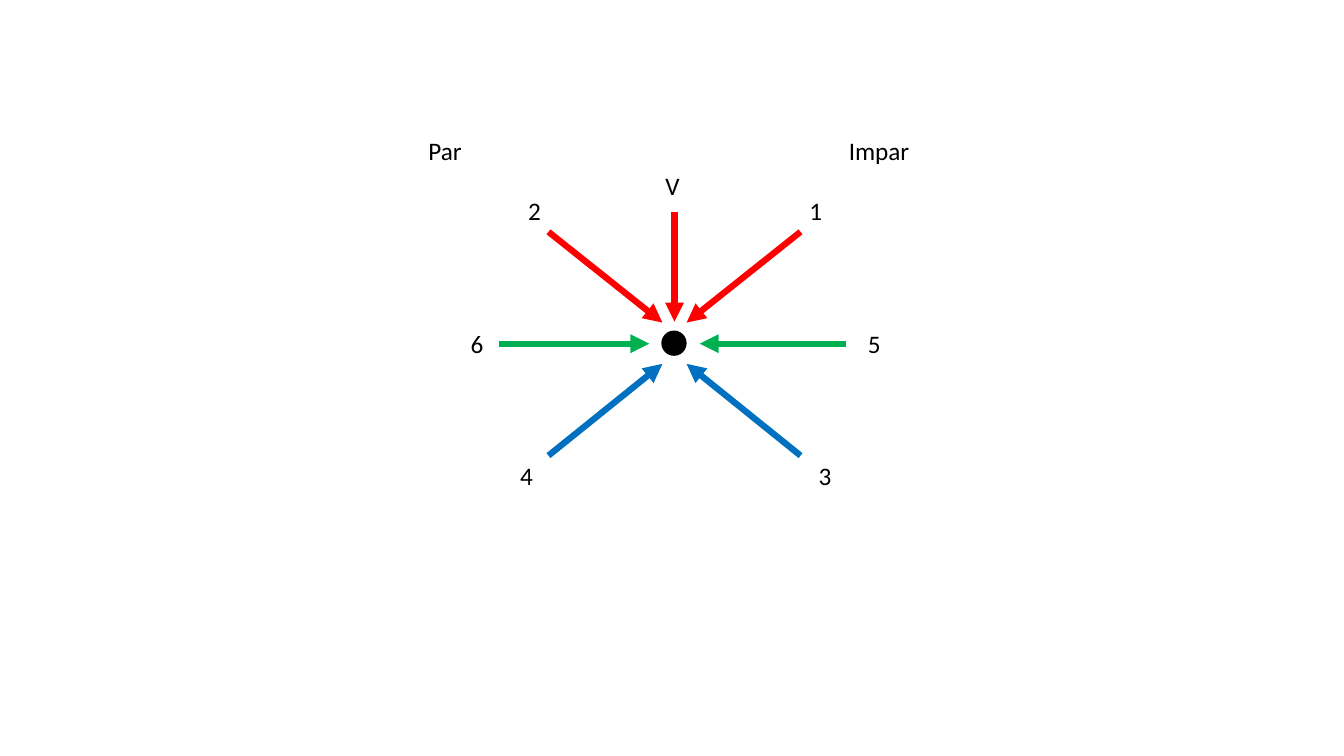
from lxml import etree
from pptx import Presentation
from pptx.dml.color import RGBColor
from pptx.enum.shapes import MSO_CONNECTOR, MSO_SHAPE
from pptx.enum.text import MSO_AUTO_SIZE, PP_ALIGN
from pptx.oxml.ns import qn
from pptx.util import Inches, Pt

STRAIGHT = MSO_CONNECTOR.STRAIGHT
NODE = MSO_SHAPE.FLOWCHART_CONNECTOR
GROW = MSO_AUTO_SIZE.SHAPE_TO_FIT_TEXT
LEFT = PP_ALIGN.LEFT
RED, GREEN, BLUE, BLACK = "FF0000", "00B050", "0070C0", "000000"


def color(hex_value):
    return RGBColor.from_string(hex_value)


presentation = Presentation()
presentation.slide_width = Inches(13.33)
presentation.slide_height = Inches(7.5)
slide = presentation.slides.add_slide(presentation.slide_layouts[6])
shapes = slide.shapes

center_x, center_y = 6.69, 3.41
arrows = [
    (-1.25, -1.11, -0.12, -0.21, RED),
    (-1.74, 0, -0.25, 0, GREEN),
    (-1.25, 1.11, -0.12, 0.2, BLUE),
    (1.25, -1.11, 0.12, -0.21, RED),
    (1.7, 0, 0.25, 0, GREEN),
    (1.25, 1.11, 0.12, 0.2, BLUE),
    (0, -1.31, 0, -0.22, RED),
]
for start_x, start_y, tip_x, tip_y, hue in arrows:
    arrow = shapes.add_connector(
        STRAIGHT,
        Inches(center_x + start_x), Inches(center_y + start_y),
        Inches(center_x + tip_x), Inches(center_y + tip_y),
    )
    arrow.line.color.rgb = color(hue)
    arrow.line.width = Pt(4.5)
    outline = arrow.line._get_or_add_ln()
    etree.SubElement(outline, qn("a:tailEnd"), type="triangle")
    etree.SubElement(arrow._element.spPr, qn("a:effectLst"))

node_size = 0.23
node = shapes.add_shape(
    NODE, Inches(6.57), Inches(3.29), Inches(node_size), Inches(node_size)
)
node.shadow.inherit = False
node.fill.solid()
node.fill.fore_color.rgb = color(BLACK)
node.line.color.rgb = color(BLACK)
node.line.width = Pt(1.5)

label_font = {"name": "Calibri", "size": Pt(18)}
labels = [
    ("1", 7.93, 1.89, 0.29),
    ("2", 5.14, 1.89, 0.4),
    ("3", 8.02, 4.52, 0.41),
    ("4", 5.06, 4.52, 0.41),
    ("5", 8.51, 3.21, 0.4),
    ("6", 4.57, 3.21, 0.4),
    ("V", 6.5, 1.64, 0.41),
    ("Par", 4.15, 1.29, 0.83),
    ("Impar", 8.32, 1.29, 1.17),
]
for wording, left, top, width in labels:
    label = shapes.add_textbox(Inches(left), Inches(top), Inches(width), Inches(0.4))
    frame = label.text_frame
    frame.word_wrap = False
    frame.auto_size = GROW
    paragraph = frame.paragraphs[0]
    paragraph.alignment = LEFT
    run = paragraph.add_run()
    run.text = wording
    for attribute, value in label_font.items():
        setattr(run.font, attribute, value)
    run.font.color.rgb = color(BLACK)

presentation.save("out.pptx")
